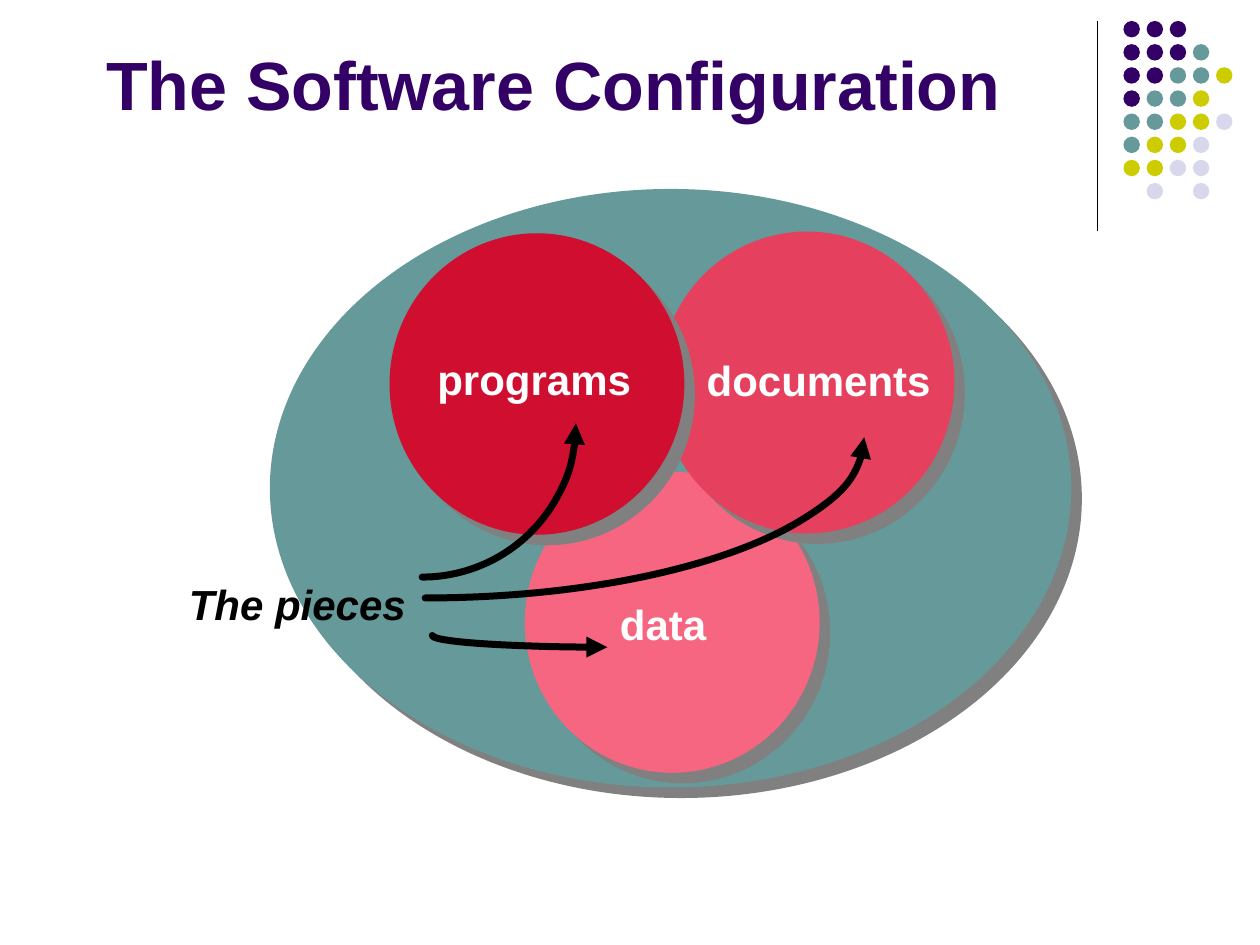
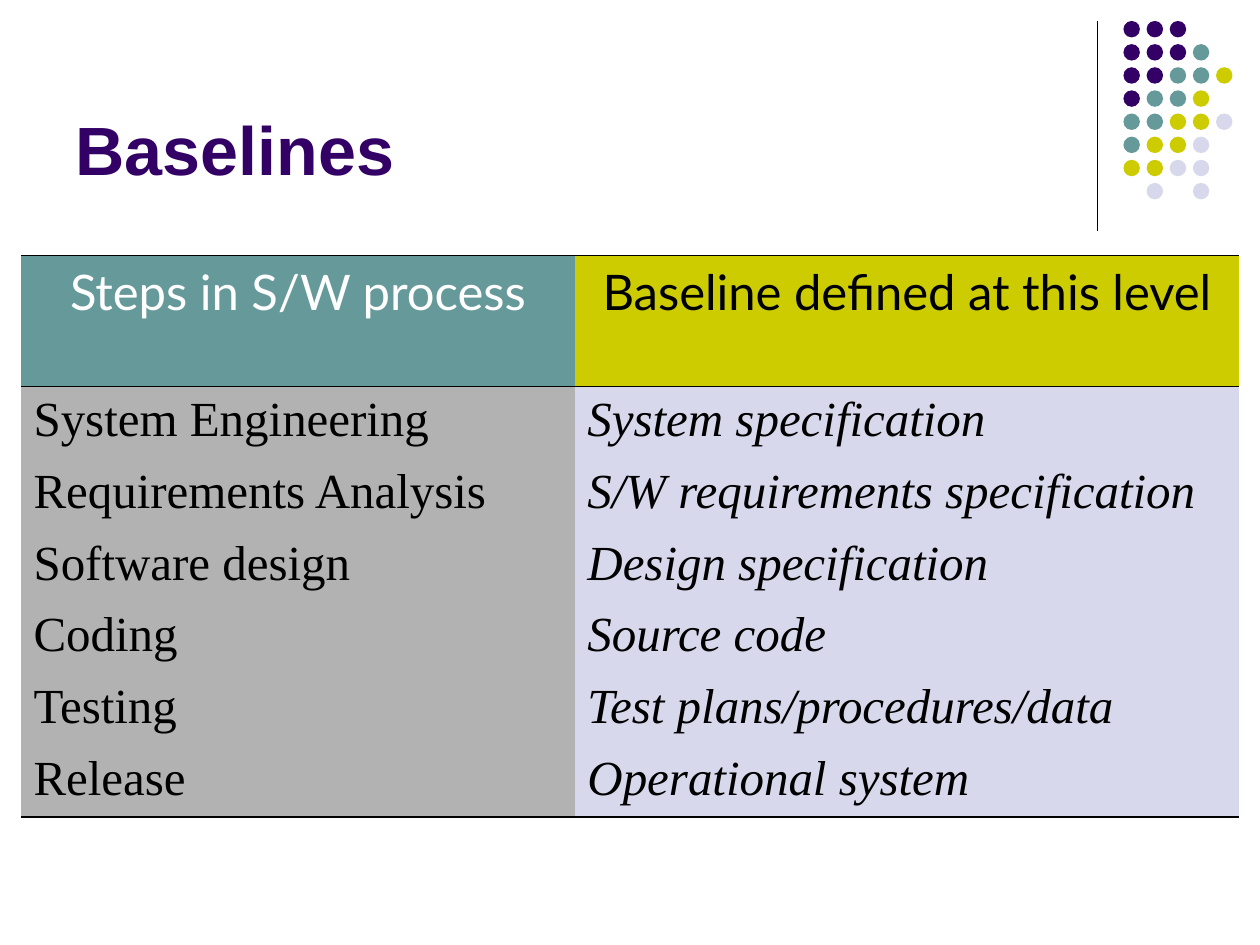
from lxml import etree
from pptx import Presentation
from pptx.dml.color import RGBColor
from pptx.enum.shapes import MSO_CONNECTOR, MSO_SHAPE
from pptx.enum.text import MSO_ANCHOR, MSO_AUTO_SIZE, PP_ALIGN
from pptx.oxml.ns import qn
from pptx.util import Pt

OVAL, ARC = MSO_SHAPE.OVAL, MSO_SHAPE.ARC
STRAIGHT = MSO_CONNECTOR.STRAIGHT
MIDDLE, BOTTOM = MSO_ANCHOR.MIDDLE, MSO_ANCHOR.BOTTOM
LEFT, CENTER, JUSTIFY = PP_ALIGN.LEFT, PP_ALIGN.CENTER, PP_ALIGN.JUSTIFY
NO_FIT, GROW = MSO_AUTO_SIZE.NONE, MSO_AUTO_SIZE.SHAPE_TO_FIT_TEXT

PURPLE, TEAL, OLIVE, LAVENDER = "330066", "669999", "CCCC00", "D8D8EC"
BLACK, WHITE, GREY, SHADOW_GREY = "000000", "FFFFFF", "B2B2B2", "808080"
SANS, HEADER_FONT, SERIF = "Arial", "Lato", "Times New Roman"
NO_TABLE_STYLE = "{2D5ABB26-0587-4C30-8999-92F81FD0307C}"
ADJUSTMENT_PER_DEGREE = 0.6

DOT_COLOURS = {"P": PURPLE, "T": TEAL, "O": OLIVE, "L": LAVENDER}
DOT_ROWS = ["PPP", "PPPT", "PPTTO", "PTTO", "TTOOL", "TOOL", "OOLL", " L L"]
DOT_LEFT, DOT_TOP, DOT_PITCH, DOT_SIZE = 642, 12, 13.22, 9.4

BASELINES = [
    ("System Engineering", "System specification"),
    ("Requirements Analysis", "S/W requirements specification"),
    ("Software design", "Design specification"),
    ("Coding", "Source code"),
    ("Testing", "Test plans/procedures/data"),
    ("Release", "Operational system"),
]


def rgb(colour):
    return RGBColor.from_string(colour)


def pts(*lengths):
    return [Pt(length) for length in lengths]


def add_xml(parent, tag, **attributes):
    return etree.SubElement(parent, qn(tag), attributes)


def style_text(paragraph, font, size, colour, bold=False, italic=False, align=LEFT):
    paragraph.alignment = align
    paragraph.font.name = font
    paragraph.font.size = Pt(size)
    paragraph.font.color.rgb = rgb(colour)
    paragraph.font.bold = bold
    paragraph.font.italic = italic


def add_oval(shapes, box, colour):
    oval = shapes.add_shape(OVAL, *pts(*box))
    oval.fill.solid()
    oval.fill.fore_color.rgb = rgb(colour)
    oval.line.fill.background()
    oval.shadow.inherit = False
    return oval


def add_shadowed_oval(slide, box, colour):
    oval = add_oval(slide.shapes, box, colour)
    effects = oval.element.spPr.find(qn("a:effectLst"))
    shadow = add_xml(effects, "a:outerShdw", dist=str(Pt(8.5)), dir="2700000",
                     algn="ctr", rotWithShape="0")
    add_xml(shadow, "a:srgbClr", val=SHADOW_GREY)


def decorate_layout(layout, slide):
    """Draw the rule and dot pattern on the slide, then move them to its layout."""
    for placeholder in list(layout.placeholders)[1:]:
        placeholder.element.getparent().remove(placeholder.element)
    rule = slide.shapes.add_connector(STRAIGHT, *pts(627, 12, 627, 132))
    rule.line.color.rgb = rgb(BLACK)
    rule.line.width = Pt(0.75)
    add_xml(rule.element.spPr, "a:effectLst")
    dots = slide.shapes.add_group_shape()
    for row, pattern in enumerate(DOT_ROWS):
        for column, key in enumerate(pattern):
            if key in DOT_COLOURS:
                box = (DOT_LEFT + column * DOT_PITCH, DOT_TOP + row * DOT_PITCH,
                       DOT_SIZE, DOT_SIZE)
                add_oval(dots.shapes, box, DOT_COLOURS[key])
    for decoration in (rule, dots):
        layout.element.cSld.spTree.append(decoration.element)


def set_title(slide, text, box, anchor):
    title = slide.shapes.title
    title.left, title.top, title.width, title.height = pts(*box)
    frame = title.text_frame
    frame.text = text
    frame.auto_size = NO_FIT
    frame.vertical_anchor = anchor
    style_text(frame.paragraphs[0], SANS, 39, PURPLE, bold=True)


def add_label(slide, text, box, colour=WHITE, italic=False):
    frame = slide.shapes.add_textbox(*pts(*box)).text_frame
    frame.text = text
    frame.word_wrap = False
    frame.auto_size = GROW
    style_text(frame.paragraphs[0], SANS, 24, colour, bold=True, italic=italic)


def add_arc_arrow(slide, ellipse_box, tip_angle):
    """Draw a quarter of an ellipse, clockwise from an arrowhead at tip_angle."""
    arrow = slide.shapes.add_shape(ARC, *pts(*ellipse_box))
    arrow.adjustments[0] = tip_angle * ADJUSTMENT_PER_DEGREE
    arrow.adjustments[1] = (tip_angle + 90) * ADJUSTMENT_PER_DEGREE
    arrow.fill.background()
    arrow.shadow.inherit = False
    arrow.line.color.rgb = rgb(BLACK)
    arrow.line.width = Pt(4)
    stroke = arrow.element.spPr.find(qn("a:ln"))
    stroke.set("cap", "rnd")
    add_xml(stroke, "a:round")
    add_xml(stroke, "a:headEnd", type="triangle")


def add_border(cell, side, width):
    """Draw one cell border, or state that it is absent if width is zero."""
    border = add_xml(cell._tc.get_or_add_tcPr(), side, w=str(Pt(width)))
    if width:
        add_xml(add_xml(border, "a:solidFill"), "a:srgbClr", val=BLACK)
    else:
        add_xml(border, "a:noFill")


def fill_cell(cell, text, fill, font, colour=BLACK, align=JUSTIFY, italic=False,
              top=0, bottom=0):
    for side, width in (("a:lnL", 0), ("a:lnR", 0), ("a:lnT", top), ("a:lnB", bottom)):
        add_border(cell, side, width)
    cell.fill.solid()
    cell.fill.fore_color.rgb = rgb(fill)
    cell.text = text
    style_text(cell.text_frame.paragraphs[0], font, 28, colour,
               italic=italic, align=align)


def add_baseline_table(slide):
    frame = slide.shapes.add_table(len(BASELINES) + 1, 2, *pts(12, 146, 696, 321))
    table = frame.table
    table.first_row = table.horz_banding = False
    next(frame.element.iter(qn("a:tableStyleId"))).text = NO_TABLE_STYLE
    for column, width in zip(table.columns, (316.5, 379.5)):
        column.width = Pt(width)
    for index, row in enumerate(table.rows):
        row.height = Pt(41 if index else 75)

    headers = [("Steps in S/W process", TEAL, WHITE),
               ("Baseline defined at this level", OLIVE, BLACK)]
    for column, (text, fill, colour) in enumerate(headers):
        fill_cell(table.cell(0, column), text, fill, HEADER_FONT, colour, CENTER,
                  top=0.96, bottom=0.45)
    for row, (step, baseline) in enumerate(BASELINES, start=1):
        borders = {"top": 0.45 if row == 1 else 0,
                   "bottom": 0.96 if row == len(BASELINES) else 0}
        fill_cell(table.cell(row, 0), step, GREY, SERIF, **borders)
        fill_cell(table.cell(row, 1), baseline, LAVENDER, SERIF, italic=True, **borders)


def build_configuration(slide):
    set_title(slide, "The Software Configuration", (53.5, 23.8, 565, 48), MIDDLE)
    for box, colour in [
        ((154.2, 108, 458, 342), TEAL),
        ((299.9, 269.6, 168.5, 172), "F76681"),
        ((376.9, 132.3, 168.5, 172.5), "E5405D"),
        ((222.6, 133.3, 168.5, 172.3), "CF0E30"),
    ]:
        add_shadowed_oval(slide, box, colour)

    add_label(slide, "programs", (242.8, 198.7, 126, 36))
    add_label(slide, "documents", (396.7, 199.1, 143, 36))
    add_label(slide, "data", (347.2, 338.4, 65, 36))
    add_label(slide, "The pieces", (100.8, 327.3, 140, 36), BLACK, italic=True)

    for ellipse_box, tip_angle in [
        ((247, 356.4, 200.2, 13.4), 90),
        ((-7.9, 158.1, 501.8, 183.6), 0),
        ((153.4, 154.1, 175.7, 175.7), 0),
    ]:
        add_arc_arrow(slide, ellipse_box, tip_angle)


def build_baselines(slide):
    set_title(slide, "Baselines", (36, 9.4, 594, 102.2), BOTTOM)
    add_baseline_table(slide)


def main():
    deck = Presentation()
    deck.slide_width, deck.slide_height = pts(720, 540)
    layout = deck.slide_layouts[5]
    configuration = deck.slides.add_slide(layout)
    decorate_layout(layout, configuration)
    build_configuration(configuration)
    build_baselines(deck.slides.add_slide(layout))
    deck.save("out.pptx")


if __name__ == "__main__":
    main()
